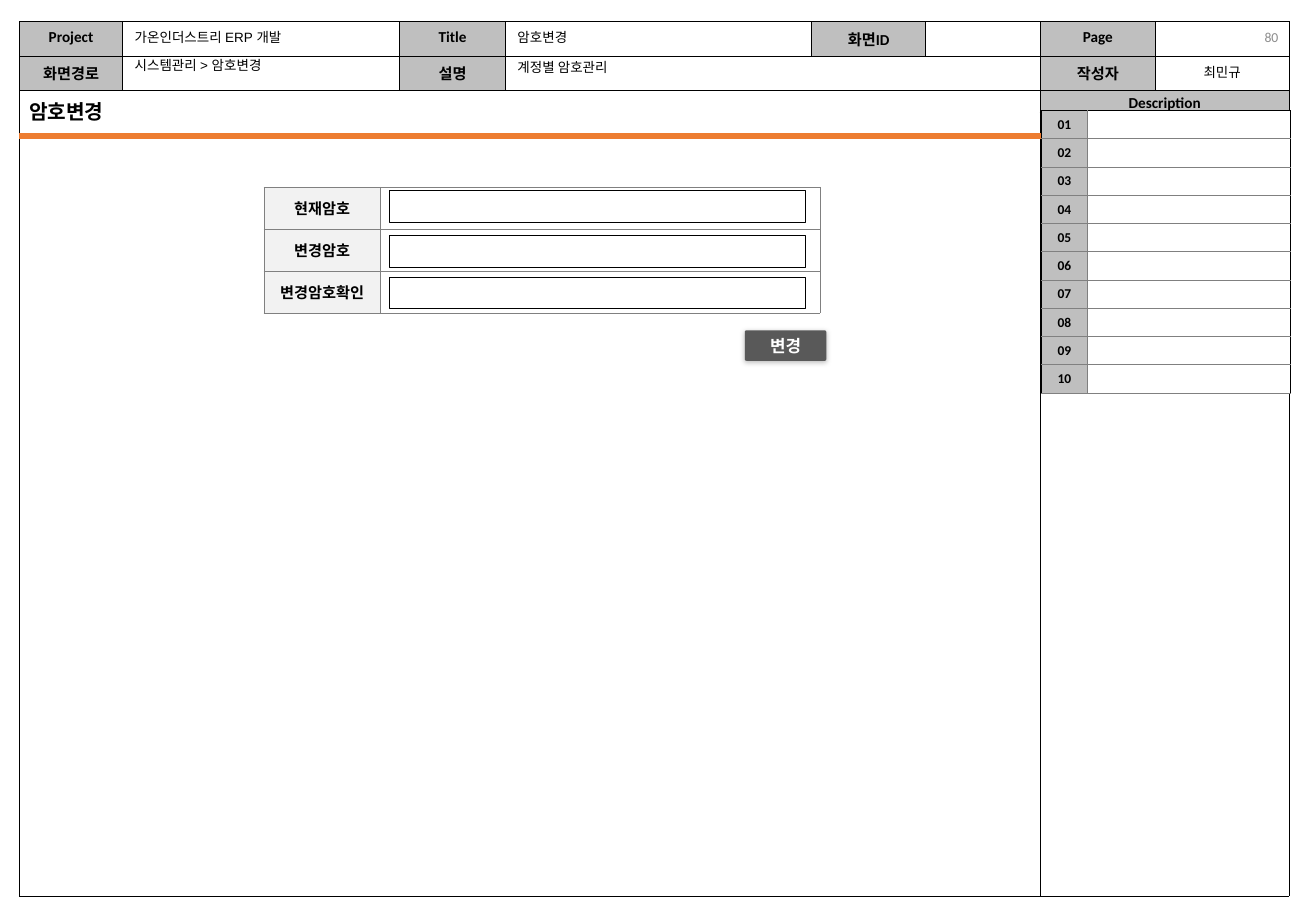
import pptx
import pptx.dml.color
import pptx.enum.shapes
import pptx.enum.text
import pptx.oxml
import pptx.oxml.ns
import pptx.util
from pptx.util import Inches

COLORS = {"ink": "000000", "label": "BFBFBF", "field": "F2F2F2", "paper": "FFFFFF",
          "rule": "808080", "page": "8C8C8C", "accent": "ED7D31", "button": "595959"}
ALIGN = pptx.enum.text.PP_ALIGN
ANCHOR = pptx.enum.text.MSO_ANCHOR
FIT = pptx.enum.text.MSO_AUTO_SIZE
SHAPES = pptx.enum.shapes.MSO_SHAPE
SIDES = {"left": "lnL", "right": "lnR", "top": "lnT", "bottom": "lnB"}


def rgb(color):
    """Return the colour object for a palette name."""
    return pptx.dml.color.RGBColor.from_string(COLORS[color])


def apply(target, formats):
    """Set every format value on the target."""
    for attribute, value in formats.items():
        setattr(target, attribute, value)


def xml(markup):
    """Parse a drawing element written with the a: prefix."""
    head, tail = markup.split(">", 1)
    close = "/>" if head.endswith("/") else ">"
    return pptx.oxml.parse_xml(f"{head.rstrip('/')} {pptx.oxml.ns.nsdecls('a')}{close}{tail}")


def write(frame, words, size, color="ink", font="Calibri", bold=False, align=ALIGN.LEFT):
    """Write one formatted line into a text frame."""
    line = frame.paragraphs[0]
    line.alignment = align
    run = line.add_run()
    run.text = words
    apply(run.font, {"name": font, "size": pptx.util.Pt(size), "bold": bold})
    run.font.color.rgb = rgb(color)


def border(cell, colors, width):
    """Draw the four borders of a cell, given a colour name per side."""
    properties = cell._tc.get_or_add_tcPr()
    for position, (side, tag) in enumerate(SIDES.items()):
        properties.insert(position, xml(
            f'<a:{tag} w="{int(pptx.util.Pt(width))}"><a:solidFill>'
            f'<a:srgbClr val="{COLORS[colors[side]]}"/></a:solidFill></a:{tag}>'))


def fill_cell(cell, words, fill, size, bold=True):
    """Fill a cell and write its centred words, or keep it empty at a small size."""
    if fill:
        cell.fill.solid()
        cell.fill.fore_color.rgb = rgb(fill)
    else:
        cell.fill.background()
    if words:
        write(cell.text_frame, words, size, bold=bold, align=ALIGN.CENTER)
    else:
        cell.text_frame.paragraphs[0]._p.append(xml('<a:endParaRPr sz="600"/>'))


def add_grid(slide, left, top, widths, heights):
    """Add a plain table with the given column widths and row heights."""
    grid = slide.shapes.add_table(len(heights), len(widths), Inches(left), Inches(top),
                                  Inches(sum(widths)), Inches(sum(heights))).table
    apply(grid, {"first_row": False, "horz_banding": False})
    for column, width in zip(grid.columns, widths):
        column.width = Inches(width)
    for row, height in zip(grid.rows, heights):
        row.height = Inches(height)
    return grid


def add_note(slide, words, left, top, width):
    """Add an unwrapped line of header text."""
    note = slide.shapes.add_textbox(Inches(left), Inches(top), Inches(width), Inches(0.24))
    apply(note.text_frame, {"word_wrap": False, "auto_size": FIT.SHAPE_TO_FIT_TEXT})
    write(note.text_frame, words, 8, font="Arial")


def add_sheet(slide, left, top):
    """Draw the sheet frame with its header labels and values."""
    sheet = add_grid(slide, left, top, [0.85, 2.28, 0.87, 2.52, 0.94, 0.94, 0.95, 1.1],
                     [0.28, 0.28, 0.18, 6.45])
    labels = {(0, 0): "Project", (0, 2): "Title", (0, 4): "화면ID", (0, 6): "Page",
              (1, 0): "화면경로", (1, 2): "설명", (1, 6): "작성자", (2, 6): "Description"}
    for row in range(4):
        for column in range(8):
            cell = sheet.cell(row, column)
            label = labels.get((row, column))
            if (row, column) == (1, 7):
                fill_cell(cell, "최민규", None, 8, bold=False)
            else:
                fill_cell(cell, label, "label" if label else None, 9)
            border(cell, dict.fromkeys(SIDES, "ink"), 0.5)
    for column in (6, 7):
        apply(sheet.cell(2, column), {"margin_top": Inches(0.03), "margin_bottom": 0})
    for first, last in [((1, 3), (1, 5)), ((2, 0), (3, 5)), ((2, 6), (2, 7)), ((3, 6), (3, 7))]:
        sheet.cell(*first).merge(sheet.cell(*last))

    add_note(slide, "가온인더스트리 ERP 개발", left + 0.85, top + 0.01, 1.51)
    add_note(slide, "시스템관리 > 암호변경", left + 0.85, top + 0.24, 1.37)
    add_note(slide, "암호변경", left + 4, top + 0.01, 0.65)
    add_note(slide, "계정별 암호관리", left + 4, top + 0.26, 1.03)
    page = slide.shapes.add_textbox(Inches(left + 8.02), Inches(top + 0.02),
                                    Inches(2.44), Inches(0.21))
    apply(page.text_frame, {"word_wrap": True, "vertical_anchor": ANCHOR.MIDDLE})
    write(page.text_frame, "80", 8.1, "page", align=ALIGN.RIGHT)


def add_heading(slide, left, top, width):
    """Place the screen title above its accent rule."""
    heading = slide.shapes.title
    apply(heading, {"left": Inches(left - 0.02), "top": Inches(top),
                    "width": Inches(0.88), "height": Inches(0.3)})
    apply(heading.text_frame, {"word_wrap": False, "auto_size": FIT.NONE,
                               "vertical_anchor": ANCHOR.TOP})
    write(heading.text_frame, "암호변경", 12, font="Arial", bold=True)
    rule_y = Inches(top + 0.35)
    rule = slide.shapes.add_connector(pptx.enum.shapes.MSO_CONNECTOR.STRAIGHT,
                                      Inches(left), rule_y, Inches(left + width), rule_y)
    rule.line.color.rgb = rgb("accent")
    rule.line.width = pptx.util.Pt(3)
    rule._element.spPr.append(xml("<a:effectLst/>"))


def add_descriptions(slide, left, top, width, height, count=10):
    """Draw the numbered, empty description list."""
    listing = add_grid(slide, left, top, [0.38, width - 0.38], [height / count] * count)
    for row in range(count):
        upper = "rule" if row else "ink"
        number, detail = listing.cell(row, 0), listing.cell(row, 1)
        fill_cell(number, f"{row + 1:02}", "label", 8)
        fill_cell(detail, None, "paper", 8)
        border(number, {"left": "ink", "right": "rule", "top": upper, "bottom": "rule"}, 0.5)
        border(detail, {"left": "rule", "right": "ink", "top": upper, "bottom": "rule"}, 0.5)
        for cell in (number, detail):
            apply(cell, {"margin_top": Inches(0.04), "margin_bottom": Inches(0.04),
                         "vertical_anchor": ANCHOR.MIDDLE})


def add_password_form(slide, left, top, width):
    """Draw the password fields and the change button."""
    form = add_grid(slide, left, top, [0.96, width - 0.96], [0.345] * 3)
    entries = zip(["현재암호", "변경암호", "변경암호확인"], [0.03, 0.4, 0.74])
    for row, (label, offset) in enumerate(entries):
        fill_cell(form.cell(row, 0), label, "field", 9)
        fill_cell(form.cell(row, 1), None, None, 9)
        for column in range(2):
            cell = form.cell(row, column)
            apply(cell, {"vertical_anchor": ANCHOR.MIDDLE,
                         "margin_left": Inches(0.05), "margin_right": Inches(0.05)})
            border(cell, dict.fromkeys(SIDES, "rule"), 0.25)
        entry = slide.shapes.add_shape(SHAPES.RECTANGLE, Inches(left + 1.03),
                                       Inches(top + offset), Inches(3.43), Inches(0.26))
        entry.shadow.inherit = False
        entry.fill.solid()
        entry.fill.fore_color.rgb = rgb("paper")
        entry.line.color.rgb = rgb("ink")
        entry.line.width = pptx.util.Pt(0.25)

    change = slide.shapes.add_shape(SHAPES.ROUNDED_RECTANGLE, Inches(left + width - 0.62),
                                    Inches(top + 1.18), Inches(0.67), Inches(0.25))
    change.adjustments[0] = 0.05
    change.fill.solid()
    change.fill.fore_color.rgb = rgb("button")
    change.line.fill.background()
    change._element.spPr.append(xml(
        '<a:effectLst><a:outerShdw blurRad="38100" dist="12700" dir="5400000">'
        f'<a:srgbClr val="{COLORS["ink"]}"><a:alpha val="25000"/></a:srgbClr>'
        '</a:outerShdw></a:effectLst>'))
    apply(change.text_frame, {"vertical_anchor": ANCHOR.MIDDLE, "margin_left": Inches(0.08),
                              "margin_right": Inches(0.08)})
    write(change.text_frame, "변경", 10, "paper", "Roboto", True, ALIGN.CENTER)


def main():
    """Build the password change screen and save it."""
    deck = pptx.Presentation()
    apply(deck, {"slide_width": Inches(10.83), "slide_height": Inches(7.5)})
    slide = deck.slides.add_slide(deck.slide_layouts[5])
    add_sheet(slide, 0.16, 0.18)
    add_descriptions(slide, 8.57, 0.91, 2.05, 2.33)
    add_heading(slide, 0.16, 0.77, 8.41)
    add_password_form(slide, 2.17, 1.54, 4.58)
    deck.save("out.pptx")


if __name__ == "__main__":
    main()
